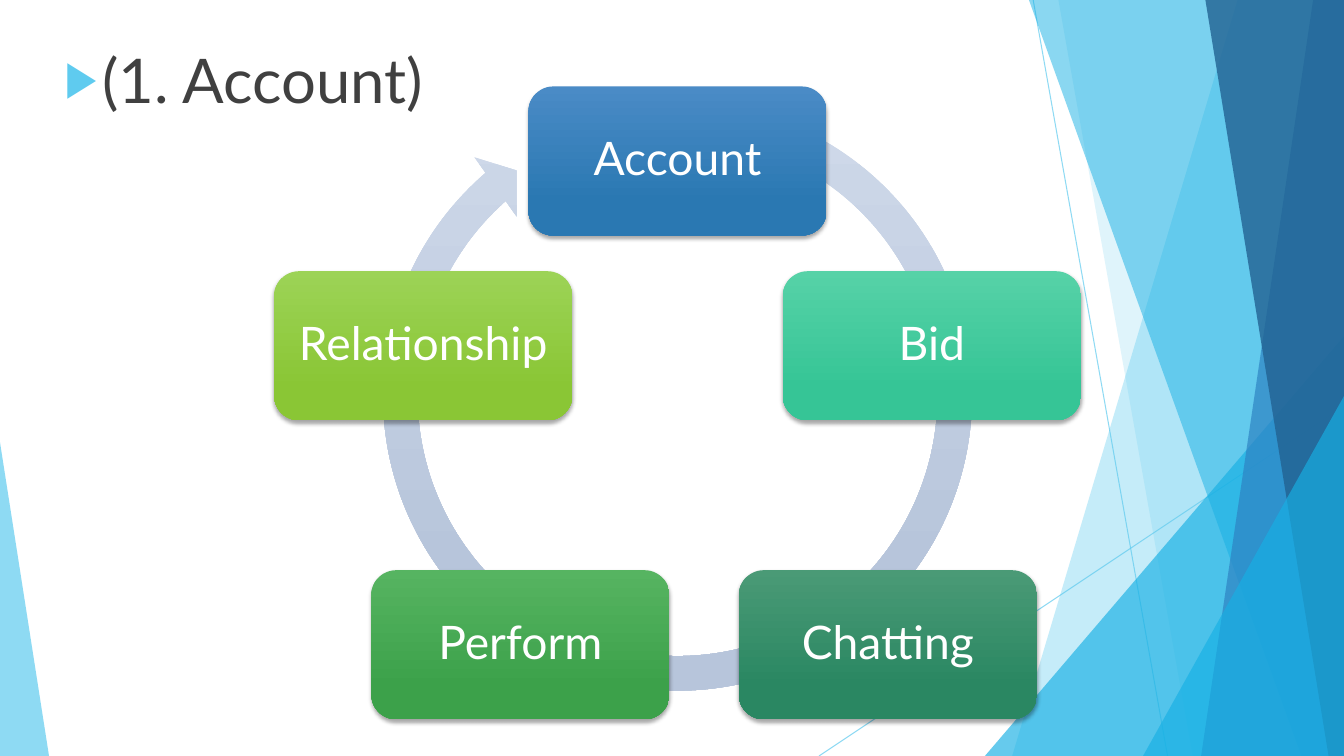
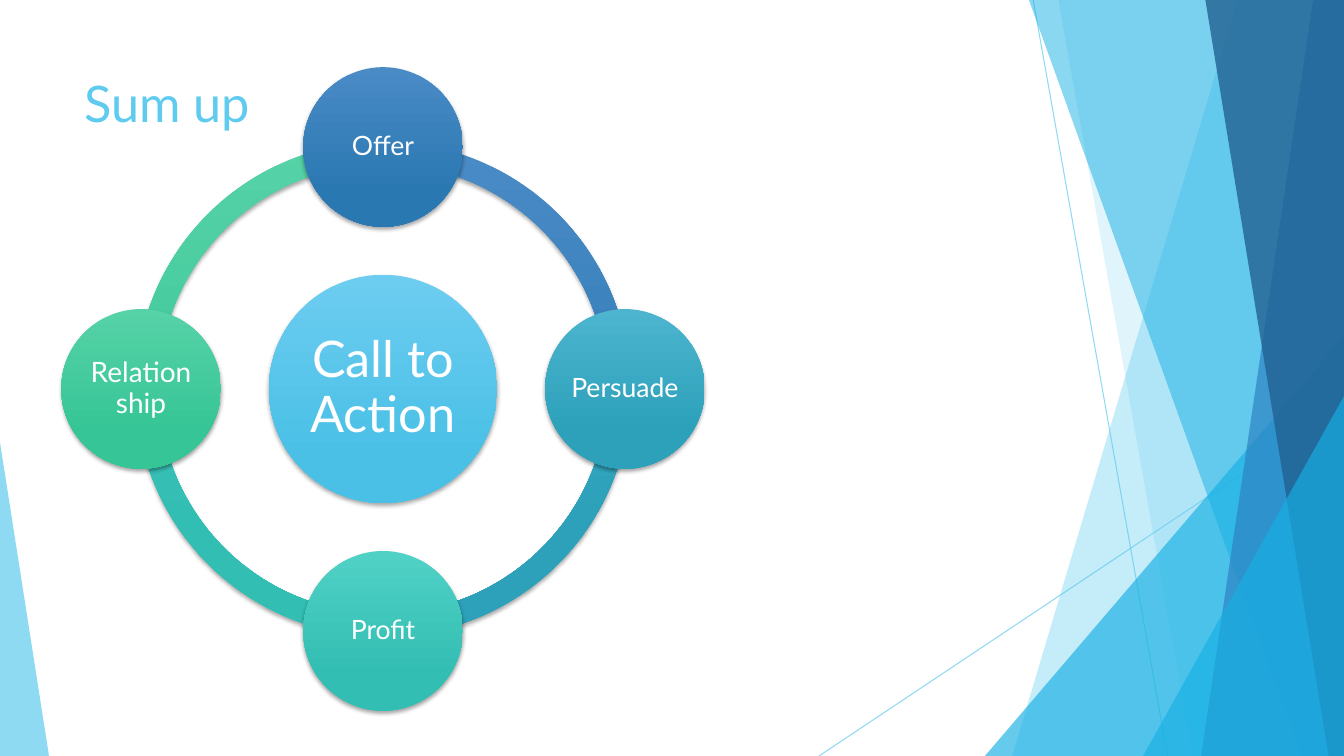
import math

from lxml import etree
from pptx import Presentation
from pptx import util as u
from pptx.dml.color import RGBColor
from pptx.enum import shapes, text
from pptx.oxml.ns import qn

WIDTH, HEIGHT = 960, 540
FONT = "Lato"
SKY, AZURE, BLUE, NAVY = "5FCBEF", "17B0E4", "2E83C3", "226292"
WHITE, DARK = "FFFFFF", "404040"

# Gradients: top colour and lower colour
INDIGO = ("4A8BC6", "2A78B2")
CYAN = ("4CB4CE", "2DA1BA")
TURQUOISE = ("50D1C6", "33BEB3")
MINT = ("56D2A7", "36C596")
FOREST = ("4A9A76", "2A8762")
GREEN = ("56B461", "3CA14A")
LIME = ("9CD356", "8AC635")
BRIGHT = ("6CCDF0", "4BC0E6")
PALE = ("D0DAEA", "B7C5DB")

KIND = shapes.MSO_SHAPE
TOP, MIDDLE = text.MSO_ANCHOR.TOP, text.MSO_ANCHOR.MIDDLE
LEFT, CENTER = text.PP_ALIGN.LEFT, text.PP_ALIGN.CENTER


def rgb(value):
    return RGBColor.from_string(value)


def points(*values):
    return [u.Pt(value) for value in values]


def set_alpha(color_parent, percent):
    color = next(color_parent.iter(qn("a:srgbClr")))
    etree.SubElement(color, qn("a:alpha"), val=str(percent * 1000))


def write(shape, wording, size=19, color=WHITE, align=CENTER, anchor=MIDDLE,
          margin=None, line_spacing=None, space_before=0):
    frame = shape.text_frame
    frame.word_wrap = True
    frame.auto_size = text.MSO_AUTO_SIZE.NONE
    frame.vertical_anchor = anchor
    if margin is not None:
        frame.margin_left = frame.margin_right = u.Pt(margin)
        frame.margin_top = frame.margin_bottom = u.Pt(margin)
    paragraph = frame.paragraphs[0]
    paragraph.alignment = align
    paragraph.space_before = u.Pt(space_before)
    if line_spacing:
        paragraph.line_spacing = line_spacing
    run = paragraph.add_run()
    run.text = wording
    run.font.name = FONT
    run.font.size = u.Pt(size)
    run.font.color.rgb = rgb(color)


def ring_positions(center_x, center_y, radius, count):
    """Centres spaced evenly clockwise, starting at the top."""
    for index in range(count):
        angle = math.tau * index / count
        yield center_x + radius * math.sin(angle), center_y - radius * math.cos(angle)


class Deck:
    def __init__(self):
        self.presentation = Presentation()
        self.presentation.slide_width = u.Pt(WIDTH)
        self.presentation.slide_height = u.Pt(HEIGHT)
        self.slide = None

    def new_slide(self, layout_index):
        layout = self.presentation.slide_layouts[layout_index]
        self.slide = self.presentation.slides.add_slide(layout)

    # Decoration, kept as one group on the master
    def thin_line(self, group, start, end):
        line = group.shapes.add_connector(
            shapes.MSO_CONNECTOR.STRAIGHT, *points(*start, *end))
        line.line.color.rgb = rgb(SKY)
        line.line.width = u.Pt(0.75)
        properties = line.element.spPr
        set_alpha(properties, 70)
        etree.SubElement(properties, qn("a:effectLst"))

    def tint(self, shape, color, percent):
        shape.shadow.inherit = False
        shape.line.fill.background()
        shape.fill.solid()
        shape.fill.fore_color.rgb = rgb(color)
        set_alpha(shape.element.spPr, percent)

    def band(self, group, top_x, bottom_x, color, percent):
        builder = group.shapes.build_freeform(*points(top_x, 0))
        corners = [(WIDTH, 0), (WIDTH, HEIGHT), (bottom_x, HEIGHT)]
        builder.add_line_segments([points(*corner) for corner in corners])
        self.tint(builder.convert_to_shape(), color, percent)

    def corner(self, group, left, width, height, apex, color, percent):
        triangle = group.shapes.add_shape(
            KIND.ISOSCELES_TRIANGLE, *points(left, HEIGHT - height, width, height))
        triangle.adjustments[0] = apex
        self.tint(triangle, color, percent)

    def decorate_master(self):
        group = self.slide.shapes.add_group_shape()
        self.thin_line(group, (738, 0), (834, HEIGHT))
        self.thin_line(group, (WIDTH, 290), (585, HEIGHT))
        self.band(group, 884, 723, SKY, 36)
        self.band(group, 756, 852, SKY, 20)
        self.corner(group, 703.5, 256.5, 300, 1, AZURE, 66)
        self.band(group, 735, 929.5, AZURE, 50)
        self.band(group, 938, 858, BLUE, 70)
        self.band(group, 861, 949, NAVY, 80)
        self.corner(group, 816.5, 143.5, 257, 1, AZURE, 66)
        self.corner(group, 0, 35, 224, 0, SKY, 70)
        for number, node in enumerate(group.element.iter(qn("p:cNvPr")), 100):
            node.set("id", str(number))
        self.presentation.slide_master.shapes.element.insert(2, group.element)

    # Placeholders
    def title(self, wording, box):
        title = self.slide.shapes.title
        title.left, title.top, title.width, title.height = points(*box)
        write(title, wording, size=36, color=SKY, align=LEFT, anchor=TOP)

    def bullet(self, wording, box):
        title = self.slide.shapes.title
        title.element.getparent().remove(title.element)
        body = self.slide.placeholders[1]
        body.left, body.top, body.width, body.height = points(*box)
        write(body, wording, size=44, color=DARK, align=LEFT,
              anchor=TOP, space_before=10)
        properties = next(body.element.iter(qn("a:pPr")))
        properties.set("marL", str(u.Pt(27)))
        properties.set("indent", str(u.Pt(-27)))
        color = etree.SubElement(properties, qn("a:buClr"))
        etree.SubElement(color, qn("a:srgbClr"), val=SKY)
        etree.SubElement(properties, qn("a:buSzPct"), val="80000")
        etree.SubElement(properties, qn("a:buChar"), char="▶")

    # Diagram shapes, placed by their centre
    def piece(self, kind, center, size, gradient, adjustments=(), shadow=True):
        (x, y), (width, height) = center, size
        shape = self.slide.shapes.add_shape(
            kind, *points(x - width / 2, y - height / 2, width, height))
        for index, value in enumerate(adjustments):
            shape.adjustments[index] = value
        shape.line.fill.background()
        shape.fill.gradient()
        shape.fill.gradient_angle = 270
        for stop, color, position in zip(shape.fill.gradient_stops, gradient, (0, 0.78)):
            stop.color.rgb = rgb(color)
            stop.position = position
        shape.shadow.inherit = False
        if shadow:
            effects = shape.element.spPr.find(qn("a:effectLst"))
            outer = etree.SubElement(
                effects, qn("a:outerShdw"), blurRad=str(u.Pt(3)), dist=str(u.Pt(2)),
                dir="5400000", algn="ctr", rotWithShape="0")
            black = etree.SubElement(outer, qn("a:srgbClr"), val="000000")
            etree.SubElement(black, qn("a:alpha"), val="35000")
        return shape

    def node(self, kind, center, size, gradient, wording, font_size, margin):
        shape = self.piece(kind, center, size, gradient)
        write(shape, wording, size=font_size, margin=margin, line_spacing=0.9)


def account_slide(deck):
    deck.bullet("(1. Account)", (39, 26, 611, 71))
    deck.piece(KIND.CIRCULAR_ARROW, (484, 283), (448, 448), PALE,
               (0.055, 3.31, 137.39, 174.09, 0.058), shadow=False)
    # Label, gradient, shift to the right of the ring
    steps = [("Account", INDIGO, 0), ("Bid", MINT, 0), ("Chatting", FOREST, 38),
             ("Perform", GREEN, 0), ("Relationship", LIME, 0)]
    centers = ring_positions(484, 306, 191, len(steps))
    for (wording, gradient, shift), (x, y) in zip(steps, centers):
        deck.node(KIND.ROUNDED_RECTANGLE, (x + shift, y), (213, 106.5),
                  gradient, wording, 33, 10)


def summary_slide(deck):
    deck.title("Sum up", (53, 48, 677, 104))
    hub = (273.6, 277.8)
    steps = [("Offer", INDIGO, 19), ("Persuade", CYAN, 19),
             ("Profit", TURQUOISE, 19), ("Relationship", MINT, 20)]
    # Arc angles: a full turn is 216 units, the top is 162
    turn, top = 216, 162
    quarter = turn / len(steps)
    for index, (_, gradient, _) in reversed(list(enumerate(steps))):
        start = (top + index * quarter) % turn
        deck.piece(KIND.BLOCK_ARC, hub, (353.5, 353.5), gradient,
                   (start, (start + quarter) % turn, 0.046))
    deck.node(KIND.OVAL, hub, (163, 163), BRIGHT, "Call to Action", 36, 3.6)
    centers = ring_positions(*hub, 172.8, len(steps))
    for (wording, gradient, font_size), center in zip(steps, centers):
        deck.node(KIND.OVAL, center, (114, 114), gradient, wording, font_size, 2)


def main():
    deck = Deck()
    deck.new_slide(1)
    deck.decorate_master()
    account_slide(deck)
    deck.new_slide(5)
    summary_slide(deck)
    deck.presentation.save("out.pptx")


if __name__ == "__main__":
    main()
